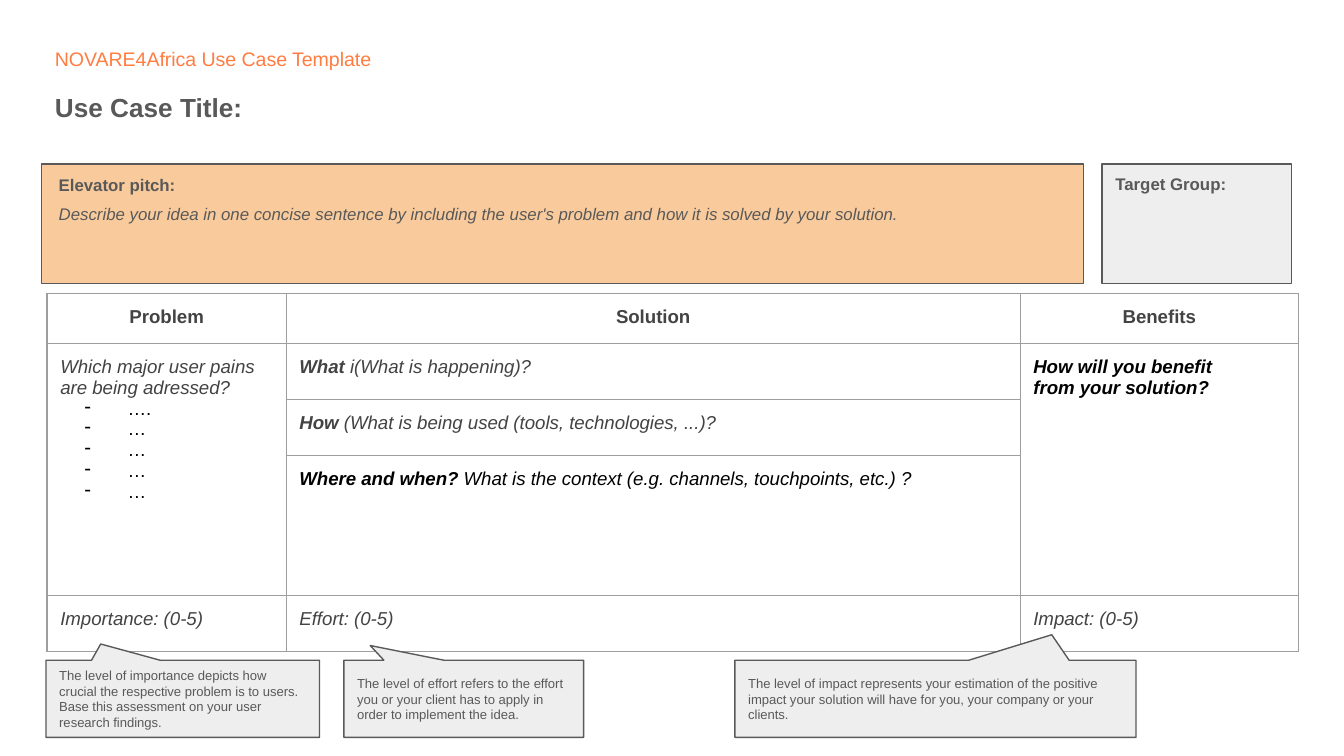
from lxml import etree
from pptx import Presentation
from pptx.dml.color import RGBColor
from pptx.enum.shapes import MSO_SHAPE
from pptx.enum.text import MSO_ANCHOR, PP_ALIGN
from pptx.oxml.ns import qn
from pptx.util import Cm, Pt

RECT = MSO_SHAPE.RECTANGLE
CALLOUT = MSO_SHAPE.RECTANGULAR_CALLOUT
TOP, MIDDLE = MSO_ANCHOR.TOP, MSO_ANCHOR.MIDDLE
LEFT, CENTER = PP_ALIGN.LEFT, PP_ALIGN.CENTER

COLORS = {
    "accent": "FF7D41",
    "grey": "595959",
    "dark": "434343",
    "black": "000000",
    "peach": "F9CB9C",
    "light": "EEEEEE",
    "border": "9E9E9E",
}


def color(name):
    return RGBColor.from_string(COLORS[name])


def add_bullet(p, char):
    pPr = p._p.get_or_add_pPr()
    pPr.set("marL", str(Cm(1.27)))
    pPr.set("indent", str(Cm(-0.81)))
    etree.SubElement(pPr, qn("a:buChar")).set("char", char)


def write(tf, paragraphs, size=9, fill="grey", bold=False, italic=False,
          align=LEFT, spacing=None, anchor=TOP, margin_x=0.25, margin_y=0.25):
    """Fill a text frame; each paragraph is a string or a list of
    (text, overrides) runs, and an override may hold a bullet."""
    tf.word_wrap = True
    tf.vertical_anchor = anchor
    tf.margin_left = tf.margin_right = Cm(margin_x)
    tf.margin_top = tf.margin_bottom = Cm(margin_y)
    if isinstance(paragraphs, str):
        paragraphs = [paragraphs]
    for i, runs in enumerate(paragraphs):
        p = tf.add_paragraph() if i else tf.paragraphs[0]
        p.alignment = align
        if spacing:
            p.line_spacing = spacing
        if isinstance(runs, str):
            runs = [(runs, {})]
        for text, fmt in runs:
            if "bullet" in fmt:
                add_bullet(p, fmt["bullet"])
            r = p.add_run()
            r.text = text
            r.font.name = "Arial"
            r.font.size = Pt(size)
            r.font.bold = fmt.get("bold", bold)
            r.font.italic = fmt.get("italic", italic)
            r.font.color.rgb = color(fmt.get("fill", fill))


class Canvas:
    line_width = Pt(0.75)

    def __init__(self, s):
        self.s = s

    def text(self, x, y, w, h, content, **fmt):
        sp = self.s.shapes.add_textbox(Cm(x), Cm(y), Cm(w), Cm(h))
        write(sp.text_frame, content, **fmt)

    def shape(self, kind, x, y, w, h, fill):
        sp = self.s.shapes.add_shape(kind, Cm(x), Cm(y), Cm(w), Cm(h))
        sp.shadow.inherit = False
        sp.fill.solid()
        sp.fill.fore_color.rgb = color(fill)
        sp.line.color.rgb = color("grey")
        sp.line.width = self.line_width
        return sp

    def callout(self, x, y, w, h, tip, content):
        sp = self.shape(CALLOUT, x, y, w, h, "light")
        sp.adjustments[0], sp.adjustments[1] = tip
        write(sp.text_frame, content, size=7, anchor=MIDDLE)

    def table(self, x, y, widths, heights):
        frame = self.s.shapes.add_table(
            len(heights), len(widths), Cm(x), Cm(y),
            Cm(sum(widths)), Cm(sum(heights)))
        table = frame.table
        table.first_row = table.horz_banding = False
        for column, w in zip(table.columns, widths):
            column.width = Cm(w)
        for row, h in zip(table.rows, heights):
            row.height = Cm(h)
        for cell in table.iter_cells():
            self.border(cell)
            cell.fill.background()
        return table

    def border(self, cell):
        tcPr = cell._tc.get_or_add_tcPr()
        for side in ("a:lnL", "a:lnR", "a:lnT", "a:lnB"):
            ln = etree.SubElement(tcPr, qn(side), w=str(self.line_width))
            solid = etree.SubElement(ln, qn("a:solidFill"))
            etree.SubElement(solid, qn("a:srgbClr"), val=COLORS["border"])

    def cell(self, table, row, col, content, **fmt):
        cell = table.cell(row, col)
        write(cell.text_frame, content, size=10, **fmt)
        cell.margin_left = cell.margin_right = Cm(0.25)
        cell.margin_top = cell.margin_bottom = Cm(0.25)


def add_header(canvas):
    canvas.text(0.79, 0.81, 17.5, 0.64, "NOVARE4Africa Use Case Template",
                size=10.5, fill="accent", spacing=0.9, margin_y=0.13)
    canvas.text(0.79, 1.47, 4.78, 1.12, "Use Case Title:", size=14, bold=True)
    canvas.shape(RECT, 0.79, 3.1, 19.69, 2.26, "peach")
    canvas.shape(RECT, 20.83, 3.1, 3.58, 2.26, "light")
    canvas.text(0.86, 3.12, 16.03, 0.89, "Elevator pitch:", bold=True)
    canvas.text(20.83, 3.1, 3.35, 0.89, "Target Group:", bold=True)
    canvas.text(0.96, 3.71, 19.43, 1.45,
                "Describe your idea in one concise sentence by including the "
                "user's problem and how it is solved by your solution.",
                italic=True, margin_x=0.15, margin_y=0.15)


def add_use_case_table(canvas):
    table = canvas.table(0.89, 5.55, [4.52, 13.87, 5.26],
                         [0.94, 1.06, 1.06, 2.64, 1.06])
    for col in (0, 2):
        table.cell(1, col).merge(table.cell(3, col))
        for row in (2, 3):
            spanned = table.cell(row, col)
            spanned.margin_top = spanned.margin_bottom = 0

    for col, title in enumerate(["Problem", "Solution", "Benefits"]):
        canvas.cell(table, 0, col, title, fill="dark", bold=True, align=CENTER)

    item = {"bullet": "-", "italic": False, "fill": "black"}
    pains = [[(dots, item)] for dots in ["…."] + ["…"] * 4]
    canvas.cell(table, 1, 0,
                ["Which major user pains are being adressed?"] + pains,
                fill="dark", italic=True)

    questions = [
        ("What", " i(What is happening)?", "dark"),
        ("How", " (What is being used (tools, technologies, ...)?", "dark"),
        ("Where and when? ",
         "What is the context (e.g. channels, touchpoints, etc.) ?", "black"),
    ]
    for row, (lead, rest, fill) in enumerate(questions, start=1):
        canvas.cell(table, row, 1, [[(lead, {"bold": True}), (rest, {})]],
                    fill=fill, italic=True)

    canvas.cell(table, 1, 2, ["How will you benefit", "from your solution?"],
                fill="black", bold=True, italic=True)
    for col, score in enumerate(["Importance", "Effort", "Impact"]):
        canvas.cell(table, 4, col, f"{score}: (0-5)", fill="dark", italic=True)


def add_callouts(canvas):
    callouts = [
        (0.87, 5.17, (-0.3, -0.71),
         "The level of importance depicts how crucial the respective problem "
         "is to users. Base this assessment on your user research findings."),
        (6.5, 4.53, (-0.39, -0.69),
         "The level of effort refers to the effort you or your client has to "
         "apply in order to implement the idea."),
        (13.89, 7.58, (0.29, -0.83),
         "The level of impact represents your estimation of the positive "
         "impact your solution will have for you, your company or your "
         "clients."),
    ]
    for x, w, tip, content in callouts:
        canvas.callout(x, 12.48, w, 1.46, tip, content)


def main():
    prs = Presentation()
    prs.slide_width, prs.slide_height = Cm(25.4), Cm(14.29)
    canvas = Canvas(prs.slides.add_slide(prs.slide_layouts[6]))
    add_header(canvas)
    add_use_case_table(canvas)
    add_callouts(canvas)
    prs.save("out.pptx")


if __name__ == "__main__":
    main()
